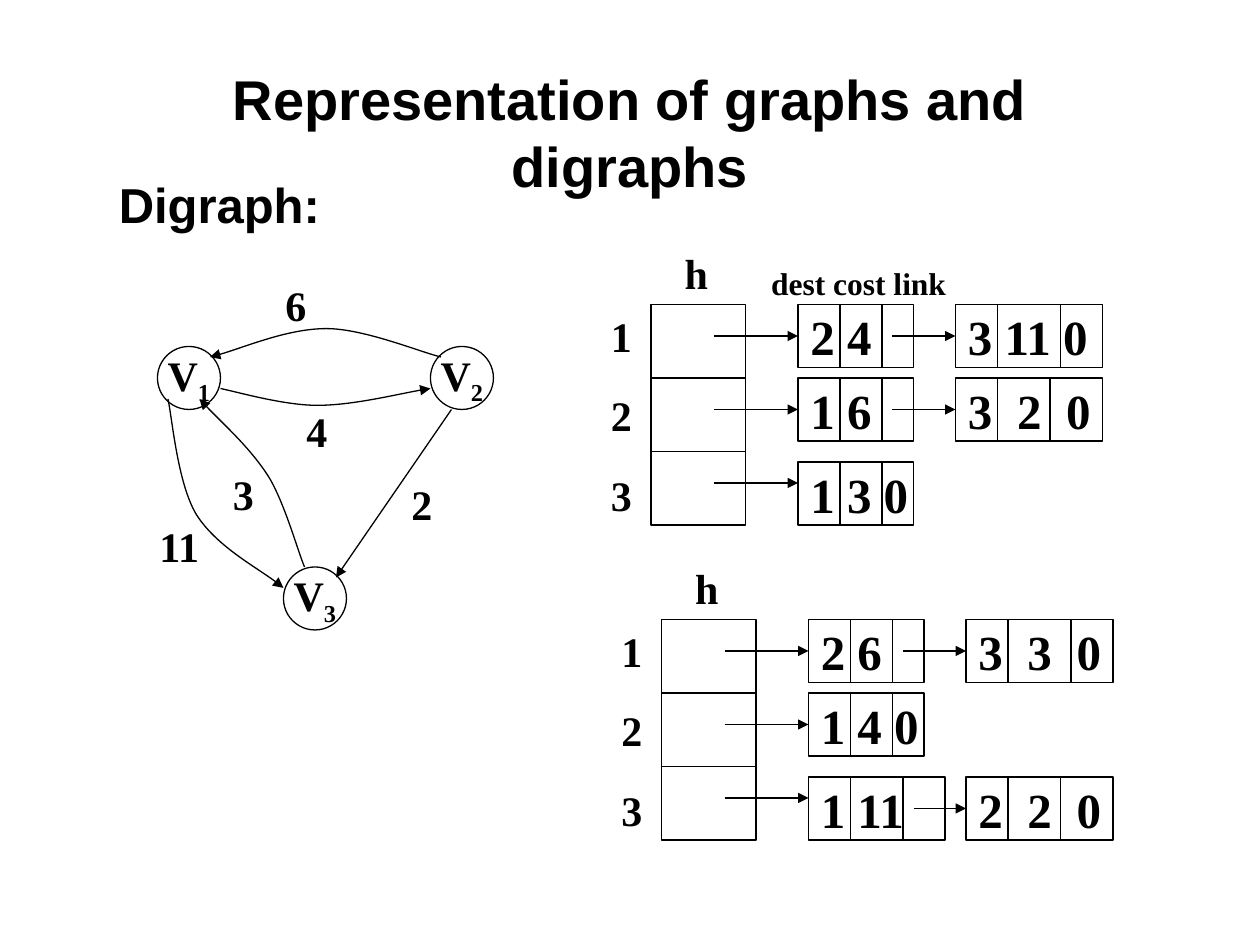
from dataclasses import dataclass

from lxml import etree
from pptx import Presentation
from pptx.dml.color import RGBColor
from pptx.enum.shapes import MSO_CONNECTOR, MSO_SHAPE
from pptx.enum.text import MSO_ANCHOR, PP_ALIGN
from pptx.oxml.ns import qn
from pptx.util import Cm, Length, Pt

STRAIGHT = MSO_CONNECTOR.STRAIGHT
OVAL, RECT = MSO_SHAPE.OVAL, MSO_SHAPE.RECTANGLE
LEFT, CENTER = PP_ALIGN.LEFT, PP_ALIGN.CENTER
TOP, MIDDLE = MSO_ANCHOR.TOP, MSO_ANCHOR.MIDDLE
GRID_CM = 2.54 / 12


@dataclass(frozen=True)
class Theme:
    ink: RGBColor = RGBColor(0, 0, 0)
    heading_font: str = "Arial"
    body_font: str = "Times New Roman"
    title: int = 32
    large: int = 28
    label: int = 24
    small: int = 18
    line: float = 0.75


@dataclass(frozen=True)
class Vertex:
    x: float
    y: float
    index: str


@dataclass(frozen=True)
class Weight:
    x: float
    y: float
    text: str


@dataclass(frozen=True)
class Record:
    row: int
    text: str
    column: int = 0
    width: float = 11
    dividers: tuple[float, float] = (4, 8)
    linked: bool = False


@dataclass(frozen=True)
class AdjacencyList:
    x: float
    y: float
    records: tuple[Record, ...]


THEME = Theme()
HEAD_W, HEAD_H = 9, 7
RECORD_H = 6
RECORD_X = (14, 29)
RECORD_Y = (0, 7, 15)

VERTICES = (Vertex(15, 33, "1"), Vertex(41, 33, "2"), Vertex(27, 54, "3"))
WEIGHTS = (Weight(14, 49, "11"), Weight(21, 44, "3"), Weight(28, 38, "4"),
           Weight(26, 26, "6"), Weight(38, 45, "2"))
CURVES = (
    ((21, 37), (22.5, 37.3), (27, 38.6), (30.2, 38.6), (33.6, 38.6), (38.8, 37.3), (41, 37)),
    ((42, 34), (40.2, 33.6), (34.7, 31.3), (31.1, 31.3), (27.4, 31.3), (22.3, 33.5), (20, 34)),
    ((16, 38), (16.4, 39.8), (16.9, 46), (18.7, 49), (20.6, 52), (25.3, 54.5), (27, 56)),
    ((29, 54), (28.4, 52.6), (27.2, 48.2), (25.7, 45.6), (24, 42.8), (20.4, 39.6), (19, 38)),
)
LISTS = (
    AdjacencyList(62, 29, (
        Record(0, "2 4", linked=True),
        Record(0, "3 11 0", 1, 14, (4, 10)),
        Record(1, "1 6", linked=True),
        Record(1, "3\t2\t0", 1, 14, (4, 9)),
        Record(2, "1 3 0"),
    )),
    AdjacencyList(63, 59, (
        Record(0, "2 6", linked=True),
        Record(0, "3\t3\t0", 1, 14, (4, 10)),
        Record(1, "1 4 0"),
        Record(2, "1 11", 0, 13, (4, 9), True),
        Record(2, "2\t2\t0", 1, 14, (4, 9)),
    )),
)


def grid(n: float) -> Length:
    return Cm(n * GRID_CM)


def write(s, text: str, *, size: int = THEME.label, font: str = THEME.body_font,
          align=LEFT, anchor=TOP, wrap: bool = True, indent: float = 0,
          gap: float = 0, subscript: str = "") -> None:
    tf = s.text_frame
    tf.word_wrap, tf.vertical_anchor = wrap, anchor
    for i, line in enumerate(text.split("\n")):
        p = tf.add_paragraph() if i else tf.paragraphs[0]
        p.alignment = align
        pPr = p._p.get_or_add_pPr()
        if i:
            p.space_before = Pt(gap)
        if indent:
            pPr.set("marL", str(Cm(indent)))
        if "\t" in line:
            tabs = etree.SubElement(pPr, qn("a:tabLst"))
            for stop in (0.99, 1.98):
                etree.SubElement(tabs, qn("a:tab"), pos=str(Cm(stop)), algn="l")
        for part in filter(None, (line, subscript)):
            r = p.add_run()
            r.text = part
            r.font.size, r.font.name, r.font.bold = Pt(size), font, True
            r.font.color.rgb = THEME.ink
        if subscript:
            r.font._element.set("baseline", "-25000")


def add_text(slide, x: float, y: float, w: float, h: float, text: str, **style) -> None:
    write(slide.shapes.add_textbox(grid(x), grid(y), grid(w), grid(h)), text, **style)


def outline(s, arrow: bool = False) -> None:
    s.line.color.rgb = THEME.ink
    s.line.width = Pt(THEME.line)
    if arrow:
        ln = s._element.spPr.find(qn("a:ln"))
        etree.SubElement(ln, qn("a:tailEnd"), type="triangle")


def add_outline_shape(slide, kind, x: float, y: float, w: float, h: float):
    s = slide.shapes.add_shape(kind, grid(x), grid(y), grid(w), grid(h))
    s.shadow.inherit = False
    s.fill.background()
    outline(s)
    return s


def add_line(slide, x1: float, y1: float, x2: float, y2: float, arrow: bool = False) -> None:
    s = slide.shapes.add_connector(STRAIGHT, grid(x1), grid(y1), grid(x2), grid(y2))
    outline(s, arrow)
    etree.SubElement(s._element.spPr, qn("a:effectLst"))


def add_curve(slide, points: tuple[tuple[float, float], ...]) -> None:
    start, *rest = [(grid(x), grid(y)) for x, y in points]
    builder = slide.shapes.build_freeform(*start)
    builder.add_line_segments(rest, close=False)
    s = builder.convert_to_shape()
    s.shadow.inherit = False
    s.fill.background()
    outline(s, arrow=True)
    segments = list(s._element.iter(qn("a:lnTo")))
    route = segments[0].getparent()
    for i in range(0, len(segments), 3):
        bezier = etree.SubElement(route, qn("a:cubicBezTo"))
        for segment in segments[i:i + 3]:
            bezier.append(segment[0])
            route.remove(segment)


def add_digraph(slide) -> None:
    for v in VERTICES:
        s = add_outline_shape(slide, OVAL, v.x, v.y, 6, 6)
        write(s, "V", subscript=v.index, align=CENTER, anchor=MIDDLE, wrap=False)
    for points in CURVES:
        add_curve(slide, points)
    add_line(slide, 43, 39, 32, 55, arrow=True)
    for w in WEIGHTS:
        add_text(slide, w.x, w.y, 9, 6, w.text)


def add_record(slide, x: float, y: float, rec: Record) -> None:
    left, top = x + RECORD_X[rec.column], y + RECORD_Y[rec.row]
    s = add_outline_shape(slide, RECT, left, top, rec.width, RECORD_H)
    write(s, rec.text, size=THEME.large, anchor=MIDDLE, wrap=False)
    for d in rec.dividers:
        add_line(slide, left + d, top, left + d, top + RECORD_H)
    if rec.linked:
        mid = top + RECORD_H / 2
        add_line(slide, left + rec.dividers[-1] + 1, mid, x + RECORD_X[1], mid, arrow=True)


def add_adjacency_list(slide, a: AdjacencyList) -> None:
    add_text(slide, a.x - 1, a.y - 6, 9, 6, "h", indent=0.64)
    add_text(slide, a.x - 5, a.y, 6, 20.7, "1\n2\n3", gap=16.5)
    for row in range(3):
        top = a.y + row * HEAD_H
        add_outline_shape(slide, RECT, a.x, top, HEAD_W, HEAD_H)
        add_line(slide, a.x + 6, top + 3, a.x + RECORD_X[0], top + 3, arrow=True)
    for rec in a.records:
        add_record(slide, a.x, a.y, rec)


def main() -> None:
    prs = Presentation()
    prs.slide_width, prs.slide_height = grid(120), grid(90)
    slide = prs.slides.add_slide(prs.slide_layouts[6])
    add_text(slide, 9, 8, 102, 9, "Representation of graphs and digraphs", size=THEME.title,
             font=THEME.heading_font, align=CENTER, anchor=MIDDLE)
    add_text(slide, 9, 16, 102, 71, "Digraph:", size=THEME.large,
             font=THEME.heading_font, indent=0.24)
    add_digraph(slide)
    for a in LISTS:
        add_adjacency_list(slide, a)
    add_text(slide, 70, 24.6, 25, 5, "dest cost link", size=THEME.small, indent=0.48)
    prs.save("out.pptx")


if __name__ == "__main__":
    main()
